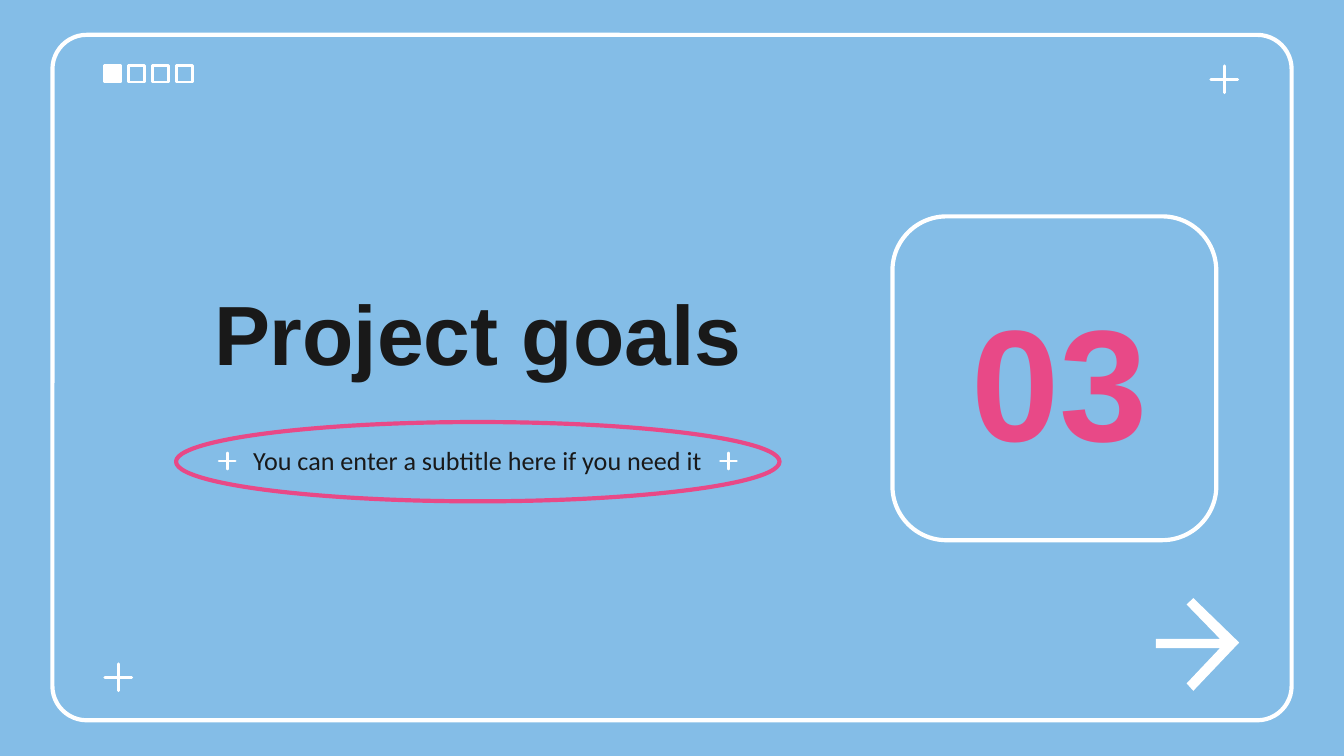
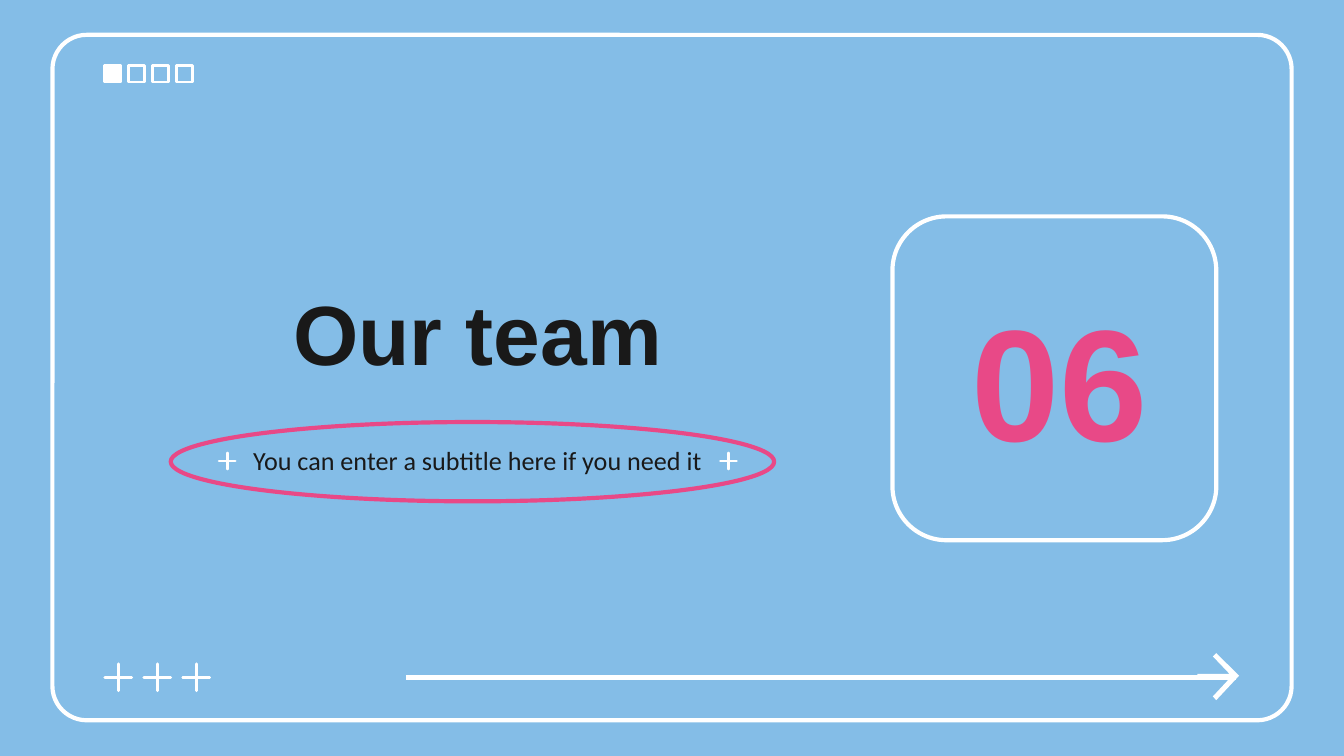
from lxml import etree
from pptx import Presentation
from pptx.dml.color import RGBColor
from pptx.enum.shapes import MSO_CONNECTOR, MSO_SHAPE
from pptx.enum.text import MSO_ANCHOR, MSO_AUTO_SIZE, PP_ALIGN
from pptx.oxml.ns import qn
from pptx.util import Inches, Pt

COLORS = {"sky": "84BDE7", "white": "FFFFFF", "pink": "E84987", "ink": "191919"}
HEADING_FONT, BODY_FONT = "Arial", "Calibri"

RECTANGLE = MSO_SHAPE.RECTANGLE
ROUNDED = MSO_SHAPE.ROUNDED_RECTANGLE
OVAL = MSO_SHAPE.OVAL
STAR = MSO_SHAPE.STAR_4_POINT
STRAIGHT = MSO_CONNECTOR.STRAIGHT
CENTER, MIDDLE = PP_ALIGN.CENTER, MSO_ANCHOR.MIDDLE
NO_AUTOFIT = MSO_AUTO_SIZE.NONE

# The slide is a grid of 100 columns by 56.25 square rows.
SLIDE_WIDTH = Inches(10)
SLIDE_HEIGHT = Inches(5.625)
CELL = SLIDE_WIDTH / 100

LEFT_EDGE = 7.8
MARK_SIZE, SMALL_MARK_SIZE = 2, 1.2
TOP_ROW, BOTTOM_ROW = 4.9, 49.4
ARROW_OUTLINE = [
    (0.45, 0), (0.37, 0.07), (0.77, 0.44), (0, 0.44), (0, 0.54),
    (0.77, 0.54), (0.37, 0.92), (0.45, 1), (1, 0.48),
]


def grid(*cells):
    """Turn counts of grid cells into slide lengths."""
    return [round(count * CELL) for count in cells]


def rgb(name):
    return RGBColor.from_string(COLORS[name])


def add_outlined(shapes, kind, box, line="white", width=2.25, fill=None, adjust=None):
    shape = shapes.add_shape(kind, *grid(*box))
    shape.shadow.inherit = False
    shape.line.color.rgb = rgb(line)
    shape.line.width = Pt(width)
    if fill:
        shape.fill.solid()
        shape.fill.fore_color.rgb = rgb(fill)
    else:
        shape.fill.background()
    if adjust is not None:
        shape.adjustments[0] = adjust
    return shape


def add_squares(slide):
    """Draw the row of four small squares, the first one filled."""
    group = slide.shapes.add_group_shape()
    for index in range(4):
        box = (LEFT_EDGE + 1.77 * index, TOP_ROW, 1.2, 1.2)
        add_outlined(group.shapes, RECTANGLE, box, width=1.5,
                     fill=None if index else "white")


def add_marks(slide, corners, size):
    """Draw a group of plus marks with the given top left corners."""
    group = slide.shapes.add_group_shape()
    for left, top in corners:
        add_outlined(group.shapes, STAR, (left, top, size, size), width=1.5,
                     fill="white", adjust=0)


def add_arrow(shapes, left, top, width, height):
    points = [grid(left + x * width, top + y * height) for x, y in ARROW_OUTLINE]
    builder = shapes.build_freeform(*points[0])
    builder.add_line_segments(points[1:], close=True)
    arrow = builder.convert_to_shape()
    arrow.shadow.inherit = False
    arrow.fill.solid()
    arrow.fill.fore_color.rgb = rgb("white")
    arrow.line.fill.background()


def add_long_arrow(slide):
    group = slide.shapes.add_group_shape()
    add_arrow(group.shapes, 89.1, 48.6, 3.1, 3.5)
    shaft = group.shapes.add_connector(STRAIGHT, *grid(30.2, 50.4, 92, 50.4))
    shaft.line.color.rgb = rgb("white")
    shaft.line.width = Pt(3)
    etree.SubElement(shaft._element.spPr, qn("a:effectLst"))


def write_text(shape, box, text, size, font, color="ink", bold=False, side_inset=1):
    shape.left, shape.top, shape.width, shape.height = grid(*box)
    frame = shape.text_frame
    frame.word_wrap = True
    frame.auto_size = NO_AUTOFIT
    frame.vertical_anchor = MIDDLE
    frame.margin_left, frame.margin_right = grid(side_inset, side_inset)
    frame.margin_top, frame.margin_bottom = grid(1, 1)
    paragraph = frame.paragraphs[0]
    paragraph.alignment = CENTER
    paragraph.space_before = Pt(0)
    run = paragraph.add_run()
    run.text = text
    run.font.size = Pt(size)
    run.font.name = font
    run.font.bold = bold
    run.font.color.rgb = rgb(color)


def add_section(presentation, number, title, ellipse_left):
    slide = presentation.slides.add_slide(presentation.slide_layouts[0])
    shapes = slide.shapes
    add_outlined(shapes, ROUNDED, (3.9, 2.6, 92.2, 51), adjust=0.05)
    add_squares(slide)
    add_outlined(shapes, OVAL, (ellipse_left, 31.4, 44.9, 5.9), line="pink")
    add_outlined(shapes, ROUNDED, (66.4, 16.1, 24.1, 24.1), adjust=0.167)
    write_text(shapes.title, (9.2, 19.2, 52.7, 11), title, 45, HEADING_FONT, bold=True)
    write_text(slide.placeholders[1], (16.3, 32, 38.5, 4.5),
               "You can enter a subtitle here if you need it", 14, BODY_FONT)
    number_box = (66.8, 18.7, 24.1, 18.9)
    write_text(shapes.add_textbox(*grid(*number_box)), number_box, number, 85,
               HEADING_FONT, color="pink", bold=True, side_inset=0)
    add_marks(slide, [(16.3, 33.7), (53.6, 33.7)], SMALL_MARK_SIZE)
    return slide


def main():
    presentation = Presentation()
    presentation.slide_width = SLIDE_WIDTH
    presentation.slide_height = SLIDE_HEIGHT
    background = presentation.slide_master.background.fill
    background.solid()
    background.fore_color.rgb = rgb("sky")

    goals = add_section(presentation, "03", "Project goals", 13.1)
    add_marks(goals, [(LEFT_EDGE, BOTTOM_ROW), (90.1, TOP_ROW)], MARK_SIZE)
    add_arrow(goals.shapes, 86, 44.5, 6.2, 6.9)

    team = add_section(presentation, "06", "Our team", 12.7)
    add_marks(team, [(LEFT_EDGE + 2.9 * index, BOTTOM_ROW) for index in range(3)],
              MARK_SIZE)
    add_long_arrow(team)

    presentation.save("out.pptx")


if __name__ == "__main__":
    main()
